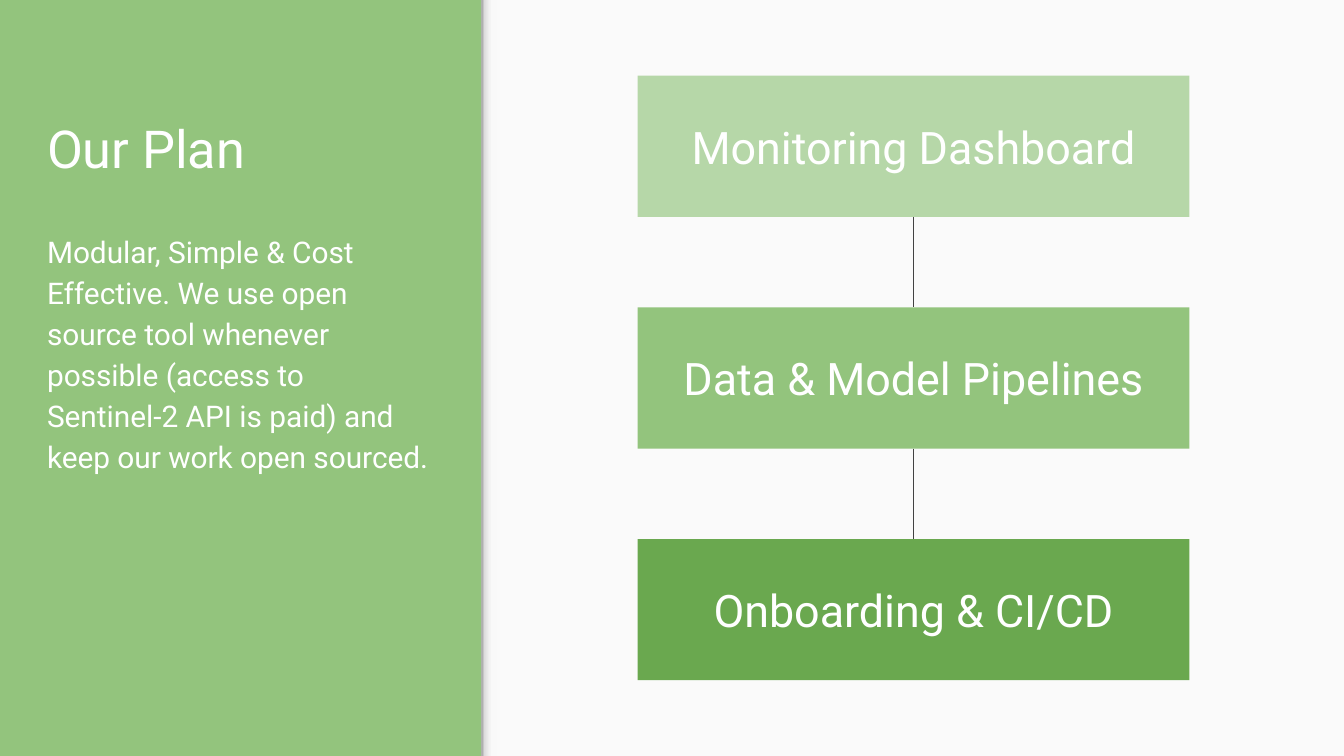
from copy import deepcopy

from pptx import Presentation
from pptx.dml.color import RGBColor
from pptx.enum.shapes import MSO_CONNECTOR, MSO_SHAPE
from pptx.enum.text import MSO_ANCHOR, PP_ALIGN
from pptx.oxml.ns import qn
from pptx.util import Cm, Pt

COLORS = {
    "green": "93C47D",
    "light_green": "B6D7A8",
    "dark_green": "6AA84F",
    "paper": "FAFAFA",
    "line": "424242",
    "white": "FFFFFF",
}
EDGE_SHADOW = [(0, "999999"), (0.2, "DEDEDE"), (0.64, "F9F9F9"), (1, "F9F9F9")]
FONT = "Roboto"
PAGE_WIDTH, PAGE_HEIGHT = 25.4, 14.29
PANEL_WIDTH = 9.1
LAYERS = [
    ("Monitoring Dashboard", "light_green"),
    ("Data & Model Pipelines", "green"),
    ("Onboarding & CI/CD", "dark_green"),
]
PLAN = (
    "Modular, Simple & Cost Effective. We use open source tool whenever possible "
    "(access to Sentinel-2 API is paid) and keep our work open sourced."
)


def color(name):
    return RGBColor.from_string(COLORS[name])


def write(box, text, size, anchor, align=PP_ALIGN.LEFT):
    """Put one white paragraph in the box and return it."""
    frame = box.text_frame
    frame.word_wrap = True
    frame.vertical_anchor = anchor
    frame.margin_left = frame.margin_right = Cm(0.25)
    frame.margin_top = frame.margin_bottom = Cm(0.25)
    para = frame.paragraphs[0]
    para.alignment = align
    span = para.add_run()
    span.text = text
    span.font.name = FONT
    span.font.size = Pt(size)
    span.font.color.rgb = color("white")
    return para


def add_rectangle(page, left, top, width, height):
    box = page.shapes.add_shape(
        MSO_SHAPE.RECTANGLE, Cm(left), Cm(top), Cm(width), Cm(height)
    )
    box.shadow.inherit = False
    box.line.fill.background()
    return box


def add_backdrop(page, left, top, width, height):
    """Pale area with a soft shadow along its left edge."""
    paper = add_rectangle(page, left, top, width, height)
    paper.fill.solid()
    paper.fill.fore_color.rgb = color("paper")

    edge = add_rectangle(page, left, top, 0.3, height)
    edge.fill.gradient()
    edge.fill.gradient_angle = 0
    stop_list = next(edge._element.iter(qn("a:gsLst")))
    while len(stop_list) < len(EDGE_SHADOW):
        stop_list.append(deepcopy(stop_list[0]))
    for stop, (position, shade) in zip(edge.fill.gradient_stops, EDGE_SHADOW):
        stop.position = position
        stop.color.rgb = RGBColor.from_string(shade)


def add_plan_text(page, left, top, width, height):
    title_height, gap = 2.64, 0.43
    title = page.shapes.add_textbox(Cm(left), Cm(top), Cm(width), Cm(title_height))
    write(title, "Our Plan", 28, MSO_ANCHOR.BOTTOM)

    offset = title_height + gap
    body = page.shapes.add_textbox(
        Cm(left), Cm(top + offset), Cm(width), Cm(height - offset)
    )
    para = write(body, PLAN, 16, MSO_ANCHOR.TOP)
    para.line_spacing = 1.15
    para.space_after = Pt(16)


def join(page, upper, lower):
    line = page.shapes.add_connector(MSO_CONNECTOR.STRAIGHT, 0, 0, 0, 0)
    line.begin_connect(upper, 2)
    line.end_connect(lower, 0)
    line.line.color.rgb = color("line")
    line.line.width = Pt(0.75)
    properties = line._element.spPr
    properties.append(properties.makeelement(qn("a:effectLst"), {}))


def add_layer_stack(page, left, top, width, height):
    """Equally spaced boxes, each joined to the one below."""
    box_height = 2.67
    pitch = (height - box_height) / (len(LAYERS) - 1)
    boxes = []
    for index, (label, fill) in enumerate(LAYERS):
        box = add_rectangle(page, left, top + index * pitch, width, box_height)
        box.fill.solid()
        box.fill.fore_color.rgb = color(fill)
        write(box, label, 24, MSO_ANCHOR.MIDDLE, PP_ALIGN.CENTER)
        boxes.append(box)
    for upper, lower in zip(boxes, boxes[1:]):
        join(page, upper, lower)


def main():
    deck = Presentation()
    deck.slide_width, deck.slide_height = Cm(PAGE_WIDTH), Cm(PAGE_HEIGHT)
    page = deck.slides.add_slide(deck.slide_layouts[6])
    page.background.fill.solid()
    page.background.fill.fore_color.rgb = color("green")

    add_backdrop(page, PANEL_WIDTH, 0, PAGE_WIDTH - PANEL_WIDTH, PAGE_HEIGHT)
    add_plan_text(page, 0.64, 0.99, 7.8, 11.86)
    add_layer_stack(page, 12.05, 1.43, 10.43, 11.43)
    deck.save("out.pptx")


if __name__ == "__main__":
    main()
